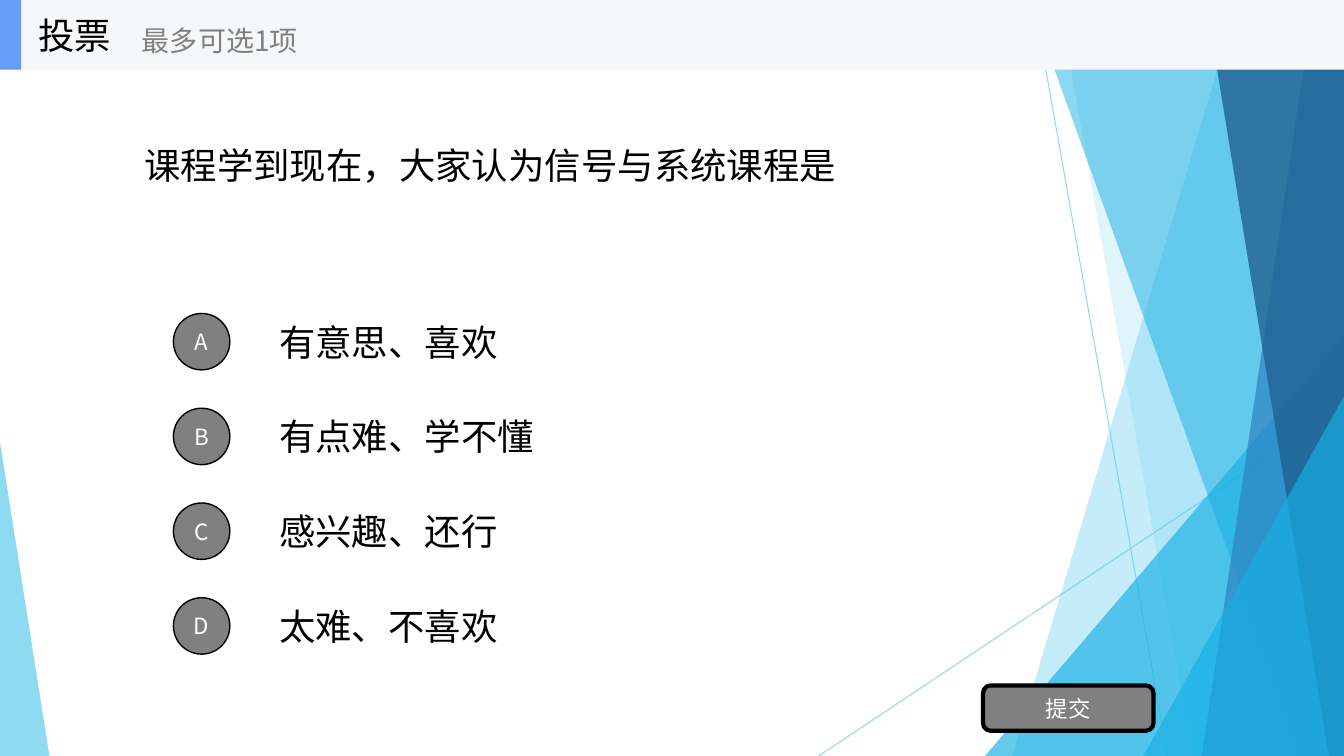
"""Build a classroom poll slide with four answer options and a submit button."""
from lxml.etree import SubElement
from pptx import Presentation
from pptx.dml.color import RGBColor
from pptx.enum.shapes import MSO_CONNECTOR, MSO_SHAPE
from pptx.enum.text import MSO_ANCHOR, MSO_AUTO_SIZE, PP_ALIGN
from pptx.oxml.ns import qn
from pptx.util import Inches, Pt

CJK_FONT = "Noto Sans CJK SC"
WIDTH, HEIGHT = 13.33, 7.5


def paint(fill, color, shape=None, opacity=100):
    fill.solid()
    fill.fore_color.rgb = RGBColor.from_string(color)
    if opacity < 100:
        for color_element in shape.element.iter(qn("a:srgbClr")):
            SubElement(color_element, qn("a:alpha"), val=str(opacity * 1000))


def write_text(shape, text, size=26, color="000000", font=CJK_FONT, align=PP_ALIGN.LEFT):
    frame = shape.text_frame
    frame.auto_size = MSO_AUTO_SIZE.NONE
    frame.word_wrap = True
    frame.vertical_anchor = MSO_ANCHOR.MIDDLE
    paragraph = frame.paragraphs[0]
    paragraph.alignment = align
    run = paragraph.add_run()
    run.text = text
    run.font.size = Pt(size)
    paint(run.font.fill, color)
    run.font.name = font
    SubElement(run.font.fill and run.element_rPr if hasattr(run, "element_rPr")
               else paragraph.runs[0].font._element, qn("a:ea"), typeface=CJK_FONT)


presentation = Presentation()
presentation.slide_width = Inches(WIDTH)
presentation.slide_height = Inches(HEIGHT)
slide = presentation.slides.add_slide(presentation.slide_layouts[5])
shapes = slide.shapes

for start_x, start_y, end_x in [(10.25, 0, 11.58), (WIDTH, 4.03, 8.12)]:
    ray = shapes.add_connector(MSO_CONNECTOR.STRAIGHT, Inches(start_x), Inches(start_y),
                               Inches(end_x), Inches(HEIGHT))
    ray.line.width = Pt(0.75)
    paint(ray.line.fill, "5FCBEF", ray, 70)
    SubElement(ray.element.spPr, qn("a:effectLst"))

bands = [
    ("band", 12.28, 10.04, "5FCBEF", 36),
    ("band", 10.5, 11.83, "5FCBEF", 20),
    ("triangle", (9.77, 3.33, 3.56), 1, "17B0E4", 66),
    ("band", 10.21, 12.91, "17B0E4", 50),
    ("band", 13.03, 11.92, "2E83C3", 70),
    ("band", 11.96, 13.18, "226292", 80),
    ("triangle", (11.34, 3.93, 1.99), 1, "17B0E4", 66),
    ("triangle", (0, 4.39, 0.49), 0, "5FCBEF", 70),
]
for kind, first, second, color, opacity in bands:
    if kind == "band":
        builder = shapes.build_freeform(Inches(first), 0)
        corners = [(WIDTH, 0), (WIDTH, HEIGHT), (second, HEIGHT)]
        builder.add_line_segments([(Inches(x), Inches(y)) for x, y in corners])
        facet = builder.convert_to_shape()
    else:
        left, top, width = first
        facet = shapes.add_shape(MSO_SHAPE.ISOSCELES_TRIANGLE, Inches(left), Inches(top),
                                 Inches(width), Inches(HEIGHT - top))
        facet.adjustments[0] = second
    facet.shadow.inherit = False
    paint(facet.fill, color, facet, opacity)
    facet.line.fill.background()

question = shapes.title
question.left, question.top = Inches(1.33), Inches(0.47)
question.width, question.height = Inches(10.67), Inches(2.34)
write_text(question, "课程学到现在，大家认为信号与系统课程是", font="TeX Gyre Adventor")

labels = [("投票", 0.28, 0, 2.08, 0.69, 26, "000000"),
          ("最多可选1项", 1.31, 0.12, 2.5, 0.56, 20, "808080")]
buttons = [("提交", MSO_SHAPE.ROUNDED_RECTANGLE, 9.75, 6.8, 1.69, 0.45, 3)]
options = ["有意思、喜欢", "有点难、学不懂", "感兴趣、还行", "太难、不喜欢"]
for index, (letter, option) in enumerate(zip("ABCD", options)):
    top = 3.04 + 0.94 * index
    labels.append((option, 2.67, top, 9.33, 0.7, 26, "000000"))
    buttons.append((letter, MSO_SHAPE.OVAL, 1.72, top + 0.07, 0.56, 0.56, 1))

for text, preset, left, top, width, height, line_width in buttons:
    button = shapes.add_shape(preset, Inches(left), Inches(top), Inches(width), Inches(height))
    button.shadow.inherit = False
    paint(button.fill, "808080")
    paint(button.line.fill, "000000")
    button.line.width = Pt(line_width)
    write_text(button, text, size=16, color="FFFFFF", align=PP_ALIGN.CENTER)

for width, color in [(WIDTH, "F6F7F8"), (0.21, "639EF4")]:
    header = shapes.add_shape(MSO_SHAPE.RECTANGLE, 0, 0, Inches(width), Inches(0.69))
    header.shadow.inherit = False
    paint(header.fill, color)
    header.line.fill.background()

for text, left, top, width, height, size, color in labels:
    label = shapes.add_textbox(Inches(left), Inches(top), Inches(width), Inches(height))
    write_text(label, text, size=size, color=color)

presentation.save("out.pptx")
